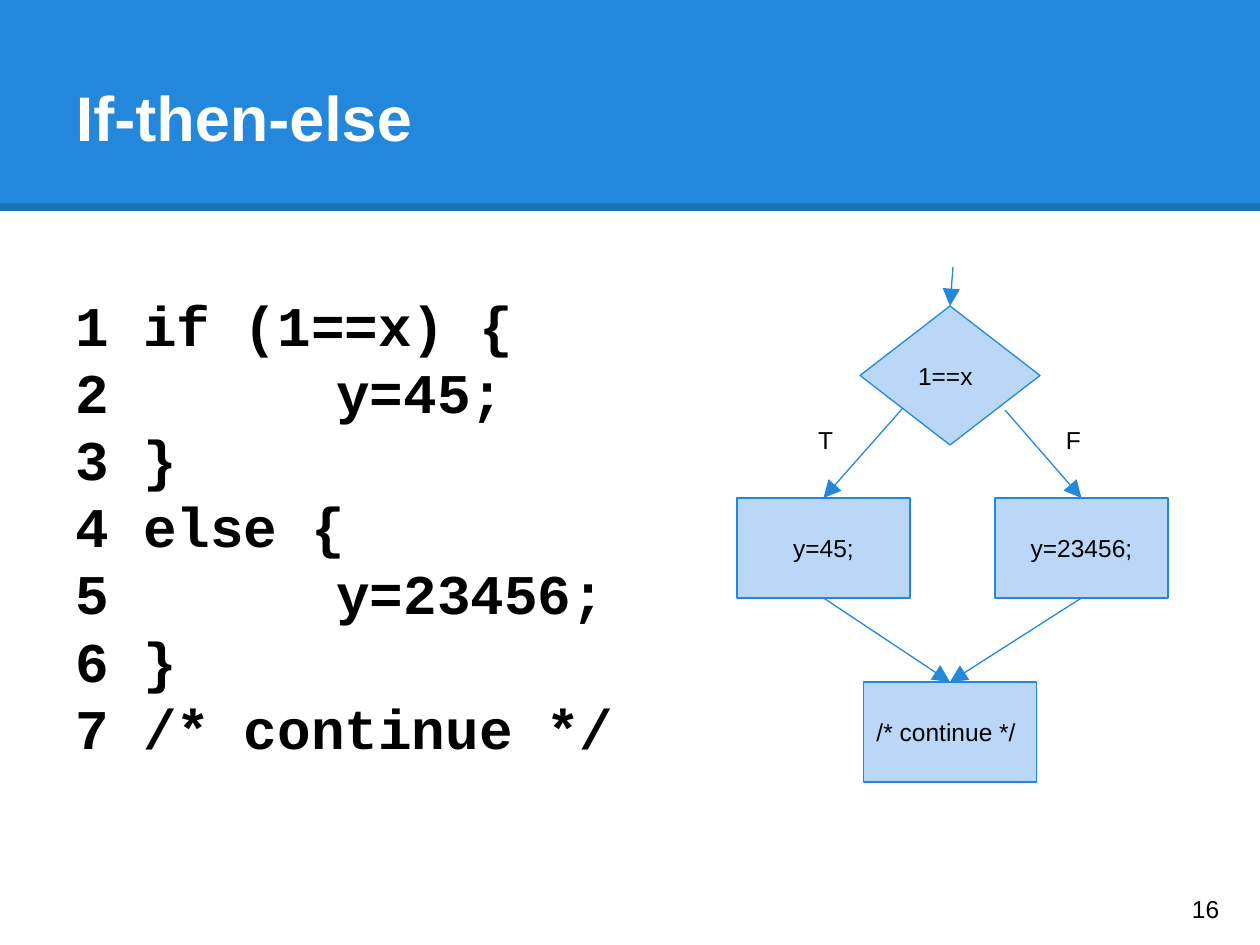
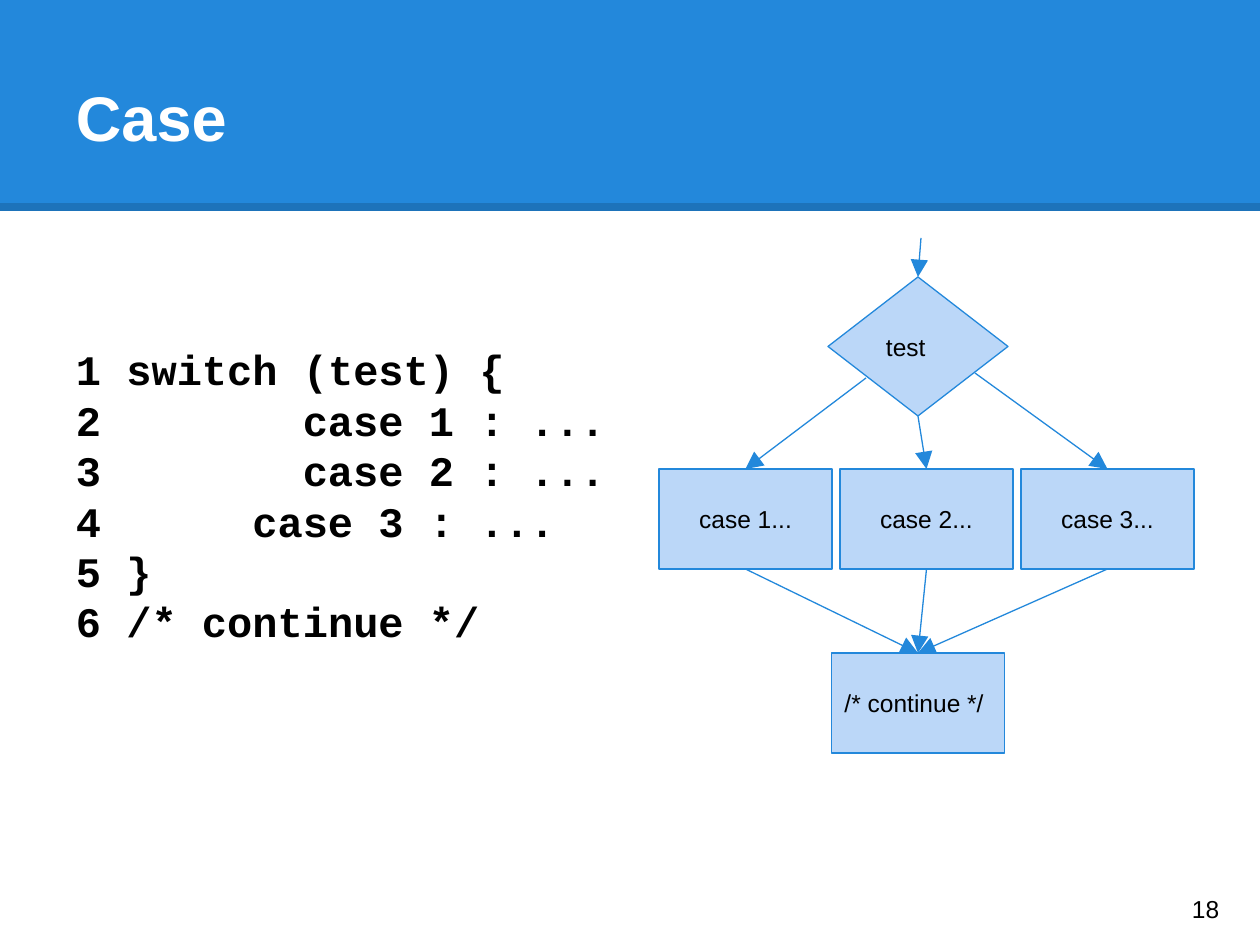
from lxml import etree
from pptx import Presentation
from pptx.dml.color import RGBColor
from pptx.enum.shapes import MSO_CONNECTOR, MSO_SHAPE
from pptx.enum.text import MSO_ANCHOR, PP_ALIGN
from pptx.oxml.ns import qn
from pptx.util import Pt

SLIDES = [
    {
        "title": "If-then-else",
        "title_width": 1105,
        "number": "16",
        "code": ["1 if (1==x) {", "2\t    y=45;", "3 }", "4 else {",
                 "5\t    y=23456;", "6 }", "7 /* continue */"],
        "code_size": 32,
        "code_box": (63, 284, 617, 482),
        "test": "1==x",
        "test_top": (950, 306),
        "branches": ["y=45;", "y=23456;"],
        "branches_left": 737,
        "branch_pitch": 258,
        # Arrow starts on the diamond, measured from its top corner
        "exits": [(-47, 102), (55, 104)],
        "labels": [("T", 805), ("F", 1053)],
    },
    {
        "title": "Case",
        "title_width": 1016,
        "number": "18",
        "code": ["1 switch (test) {", "2\t    case 1 : ...", "3\t    case 2 : ...",
                 "4 \t  case 3 : ...", "5 }", "6 /* continue */"],
        "code_size": 24,
        "code_box": (63, 338, 627, 416),
        "test": "test",
        "test_top": (918, 277),
        "branches": ["case 1...", "case 2...", "case 3..."],
        "branches_left": 659,
        "branch_pitch": 181,
        "exits": [(-52, 101), None, (57, 96)],
        "labels": [],
    },
]
CONTINUE = "/* continue */"

PAGE_W, PAGE_H = 1260, 945
EMU_PER_PX = 914400 / 126
HEADER_H, RULE_Y = 211, 207
DIAMOND_W, DIAMOND_H = 180, 139
STEP_W, STEP_H = 173, 100
BRANCH_DROP, LABEL_DROP, CONTINUE_DROP = 192, 106, 376
ENTRY_DX, ENTRY_DY = 3, -39
PAD, PAD_WIDE = 6, 13
TAB_STOP = 126
LINE_SPACING = 1.2

BLUE = RGBColor(0x23, 0x88, 0xDB)
PALE_BLUE = RGBColor(0xBB, 0xD7, 0xF8)
BLACK = RGBColor(0, 0, 0)
WHITE = RGBColor(0xFF, 0xFF, 0xFF)

RECT, DIAMOND = MSO_SHAPE.RECTANGLE, MSO_SHAPE.DIAMOND
STRAIGHT = MSO_CONNECTOR.STRAIGHT
TOP, MIDDLE = MSO_ANCHOR.TOP, MSO_ANCHOR.MIDDLE
LEFT, CENTER = PP_ALIGN.LEFT, PP_ALIGN.CENTER
TOP_SITE, BOTTOM_SITE = 0, 2


def px(*lengths):
    return [round(length * EMU_PER_PX) for length in lengths]


def add_tab_stop(paragraph):
    tabs = etree.SubElement(paragraph._p.get_or_add_pPr(), qn("a:tabLst"))
    etree.SubElement(tabs, qn("a:tab"), pos=str(px(TAB_STOP)[0]), algn="l")


def write(shape, lines, size=14, color=BLACK, font="Arial", bold=False, align=LEFT,
          anchor=MIDDLE, insets=(PAD_WIDE,) * 4, spacing=None):
    """Fill a shape with paragraphs; insets run left, top, right, bottom."""
    frame = shape.text_frame
    frame.word_wrap = True
    frame.vertical_anchor = anchor
    (frame.margin_left, frame.margin_top,
     frame.margin_right, frame.margin_bottom) = px(*insets)
    for i, line in enumerate(lines):
        paragraph = frame.add_paragraph() if i else frame.paragraphs[0]
        paragraph.text = line
        paragraph.alignment = align
        paragraph.line_spacing = spacing
        if "\t" in line:
            add_tab_stop(paragraph)
        paragraph.font.name = font
        paragraph.font.size = Pt(size)
        paragraph.font.bold = bold
        paragraph.font.color.rgb = color


def add_text(slide, box, lines, **style):
    write(slide.shapes.add_textbox(*px(*box)), lines, **style)


def add_step(slide, kind, box, text, align=LEFT):
    step = slide.shapes.add_shape(kind, *px(*box))
    step.shadow.inherit = False
    step.fill.solid()
    step.fill.fore_color.rgb = PALE_BLUE
    step.line.color.rgb = BLUE
    step.line.width = Pt(0.75)
    write(step, [text], align=align)
    return step


def add_line(slide, start, end, color, width):
    line = slide.shapes.add_connector(STRAIGHT, *px(*start, *end))
    line.line.color.rgb = color
    line.line.width = Pt(width)
    etree.SubElement(line.element.spPr, qn("a:effectLst"))
    return line


def add_arrow(slide, target, start=(0, 0), source=None):
    """Point at the top of target, from a point or from the bottom of source."""
    arrow = add_line(slide, start, (0, 0), BLUE, 0.75)
    if source is not None:
        arrow.begin_connect(source, BOTTOM_SITE)
    arrow.end_connect(target, TOP_SITE)
    etree.SubElement(arrow.element.spPr.find(qn("a:ln")), qn("a:tailEnd"),
                     type="triangle", w="lg", len="lg")


def add_frame(slide, content):
    """Header band with its rule, title and slide number."""
    band = slide.shapes.add_shape(RECT, *px(0, 0, PAGE_W, HEADER_H))
    band.shadow.inherit = False
    band.fill.solid()
    band.fill.fore_color.rgb = BLUE
    band.line.fill.background()
    rule = add_line(slide, (0, RULE_Y), (PAGE_W, RULE_Y), BLACK, 4.5)
    for color in rule.element.spPr.iter(qn("a:srgbClr")):
        etree.SubElement(color, qn("a:alpha"), val="15000")
    add_text(slide, (63, 37, content["title_width"], 158), [content["title"]],
             size=36, color=WHITE, bold=True, insets=(PAD_WIDE, PAD, PAD, PAD))
    add_text(slide, (1179, 873, 76, 72), [content["number"]])


def add_flow(slide, content):
    x, y = content["test_top"]
    test = add_step(slide, DIAMOND, (x - DIAMOND_W / 2, y, DIAMOND_W, DIAMOND_H),
                    content["test"])
    merge = add_step(slide, RECT, (x - STEP_W / 2, y + CONTINUE_DROP, STEP_W, STEP_H),
                     CONTINUE)
    add_arrow(slide, test, start=(x + ENTRY_DX, y + ENTRY_DY))
    for i, (text, leave) in enumerate(zip(content["branches"], content["exits"])):
        left = content["branches_left"] + i * content["branch_pitch"]
        branch = add_step(slide, RECT, (left, y + BRANCH_DROP, STEP_W, STEP_H),
                          text, CENTER)
        if leave:
            add_arrow(slide, branch, start=(x + leave[0], y + leave[1]))
        else:
            add_arrow(slide, branch, source=test)
        add_arrow(slide, merge, source=branch)
    for label, left in content["labels"]:
        add_text(slide, (left, y + LABEL_DROP, 55, 38), [label], anchor=TOP)


def main():
    deck = Presentation()
    deck.slide_width, deck.slide_height = px(PAGE_W, PAGE_H)
    blank = deck.slide_layouts[6]
    for content in SLIDES:
        slide = deck.slides.add_slide(blank)
        add_frame(slide, content)
        size = content["code_size"]
        add_text(slide, content["code_box"], content["code"], size=size,
                 font="Courier New", bold=True, anchor=TOP,
                 insets=(PAD_WIDE, PAD, PAD_WIDE, PAD),
                 spacing=Pt(size * LINE_SPACING))
        add_flow(slide, content)
    deck.save("out.pptx")


if __name__ == "__main__":
    main()
